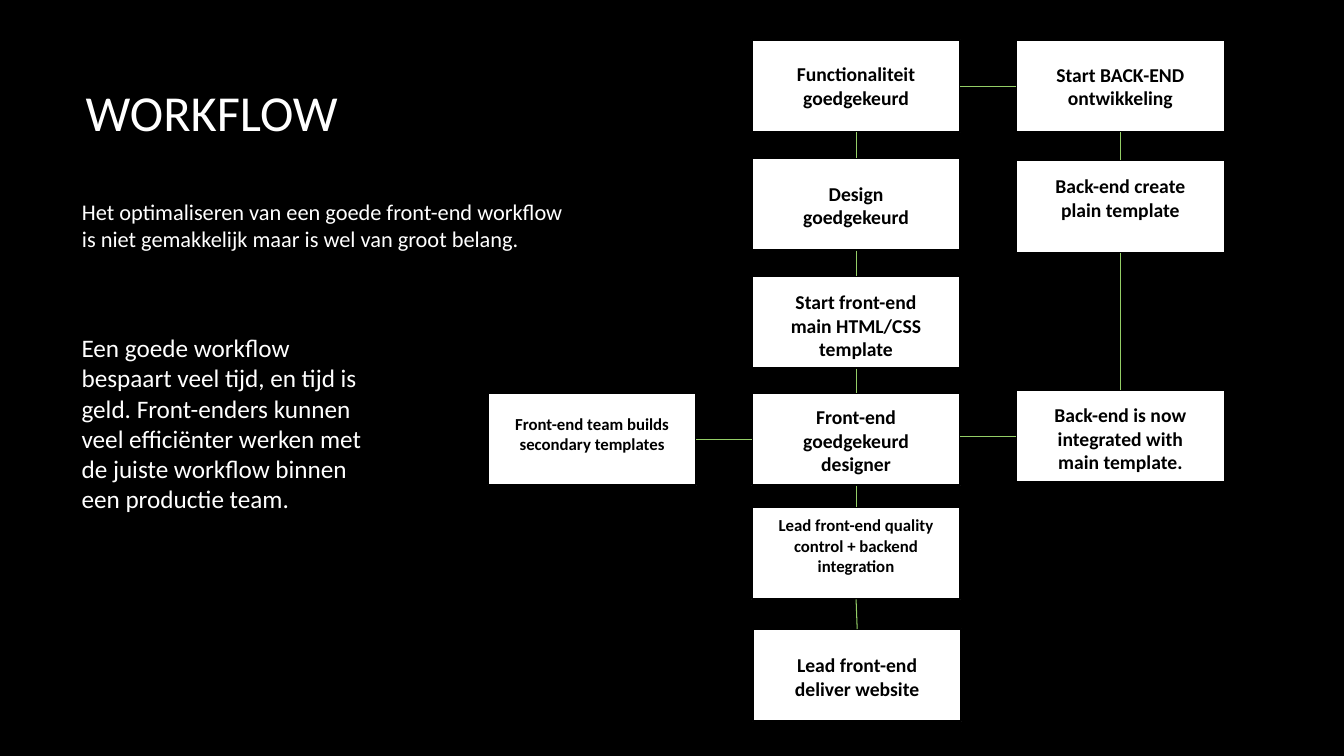
from lxml import etree
from pptx import Presentation
from pptx.dml.color import RGBColor
from pptx.enum import shapes, text
from pptx.oxml import ns
from pptx.util import Pt

BLACK = RGBColor(0x00, 0x00, 0x00)
WHITE = RGBColor(0xFF, 0xFF, 0xFF)
GREEN = RGBColor(0x94, 0xCE, 0x67)
FONT = "Calibri"

STEP_WIDTH, STEP_HEIGHT = 149, 66
SIDE_INSET = 17.5
TOP, LEFT, BOTTOM, RIGHT = range(4)

TEAM_X, MAIN_X, BACKEND_X = 348.5, 537, 725.8

STEPS = {
    "functionality": (MAIN_X, 28.5, 15.8, 14, ["Functionaliteit goedgekeurd"]),
    "design": (MAIN_X, 113, 16.6, 14, ["Design", "goedgekeurd"]),
    "main template": (MAIN_X, 197.3, 10, 14, ["Start front-end", "main HTML/CSS template"]),
    "designer": (MAIN_X, 280.8, 8.6, 14, ["Front-end goedgekeurd designer"]),
    "quality": (MAIN_X, 362.2, 5.8, 12, ["Lead front-end quality control + backend integration"]),
    "delivery": (MAIN_X + 0.8, 449.3, 17.3, 14, ["Lead front-end deliver website"]),
    "backend start": (BACKEND_X, 28.5, 16.2, 14, ["Start BACK-END ontwikkeling"]),
    "plain template": (BACKEND_X, 114.5, 10, 14, ["Back-end create plain template"]),
    "integration": (BACKEND_X, 278.6, 9.4, 14, ["Back-end is now integrated with main template."]),
    "team": (TEAM_X, 280.8, 14.4, 12, ["Front-end team builds secondary templates"]),
}

CHAINS = [
    ["functionality", "design", "main template", "designer", "quality", "delivery"],
    ["backend start", "plain template", "integration"],
]
SIDE_LINKS = [
    ("functionality", "backend start"),
    ("designer", "integration"),
    ("team", "designer"),
]


def add_text(paragraph, content, size, color, bold=False):
    run = paragraph.add_run()
    run.text = content
    run.font.name = FONT
    run.font.size = Pt(size)
    run.font.bold = bold
    run.font.color.rgb = color


def place(shape, left, top, width, height):
    shape.left, shape.top = Pt(left), Pt(top)
    shape.width, shape.height = Pt(width), Pt(height)


def add_title(slide, box, content):
    title = slide.shapes.title
    place(title, *box)
    title.text_frame.vertical_anchor = text.MSO_ANCHOR.MIDDLE
    paragraph = title.text_frame.paragraphs[0]
    paragraph.alignment = text.PP_ALIGN.LEFT
    add_text(paragraph, content, 36, WHITE)


def add_statement(slide, box, content, size):
    statement = slide.shapes.add_textbox(*map(Pt, box))
    statement.text_frame.word_wrap = True
    add_text(statement.text_frame.paragraphs[0], content, size, WHITE)


def add_step(slide, left, top, inset, size, lines):
    step = slide.shapes.add_shape(
        shapes.MSO_SHAPE.RECTANGLE, Pt(left), Pt(top), Pt(STEP_WIDTH), Pt(STEP_HEIGHT)
    )
    step.shadow.inherit = False
    step.fill.solid()
    step.fill.fore_color.rgb = WHITE
    step.line.color.rgb = BLACK
    step.line.width = Pt(1.5)
    frame = step.text_frame
    frame.word_wrap = True
    frame.vertical_anchor = text.MSO_ANCHOR.TOP
    frame.margin_left = frame.margin_right = Pt(SIDE_INSET)
    frame.margin_top, frame.margin_bottom = Pt(inset), 0
    for index, line in enumerate(lines):
        paragraph = frame.add_paragraph() if index else frame.paragraphs[0]
        paragraph.alignment = text.PP_ALIGN.CENTER
        add_text(paragraph, line, size, BLACK, bold=True)
    return step


def add_link(slide, source, target, source_side, target_side):
    level = target.top + target.height // 2
    connector = slide.shapes.add_connector(
        shapes.MSO_CONNECTOR.STRAIGHT, source.left + source.width, level, target.left, level
    )
    same_level = source.top == target.top
    if source_side == BOTTOM or same_level:
        connector.begin_connect(source, source_side)
    connector.end_connect(target, target_side)
    connector.line.color.rgb = GREEN
    connector.line.width = Pt(0.75)
    etree.SubElement(connector._element.spPr, ns.qn("a:effectLst"))


def add_flowchart(slide):
    steps = {name: add_step(slide, *step) for name, step in STEPS.items()}
    for chain in CHAINS:
        for source, target in zip(chain, chain[1:]):
            add_link(slide, steps[source], steps[target], BOTTOM, TOP)
    for source, target in SIDE_LINKS:
        add_link(slide, steps[source], steps[target], RIGHT, LEFT)


def main():
    presentation = Presentation()
    presentation.slide_width, presentation.slide_height = Pt(960), Pt(540)
    slide = presentation.slides.add_slide(presentation.slide_layouts[5])
    slide.background.fill.solid()
    slide.background.fill.fore_color.rgb = BLACK
    add_title(slide, (54, 44.6, 741, 70), "WORKFLOW")
    add_statement(
        slide,
        (51.5, 138.2, 371, 85),
        "Het optimaliseren van een goede front-end workflow is niet gemakkelijk "
        "maar is wel van groot belang.",
        16,
    )
    add_statement(
        slide,
        (51.2, 234, 228, 160),
        "Een goede workflow bespaart veel tijd, en tijd is geld. Front-enders kunnen "
        "veel efficiënter werken met de juiste workflow binnen een productie team.",
        18,
    )
    add_flowchart(slide)
    presentation.save("out.pptx")


if __name__ == "__main__":
    main()
